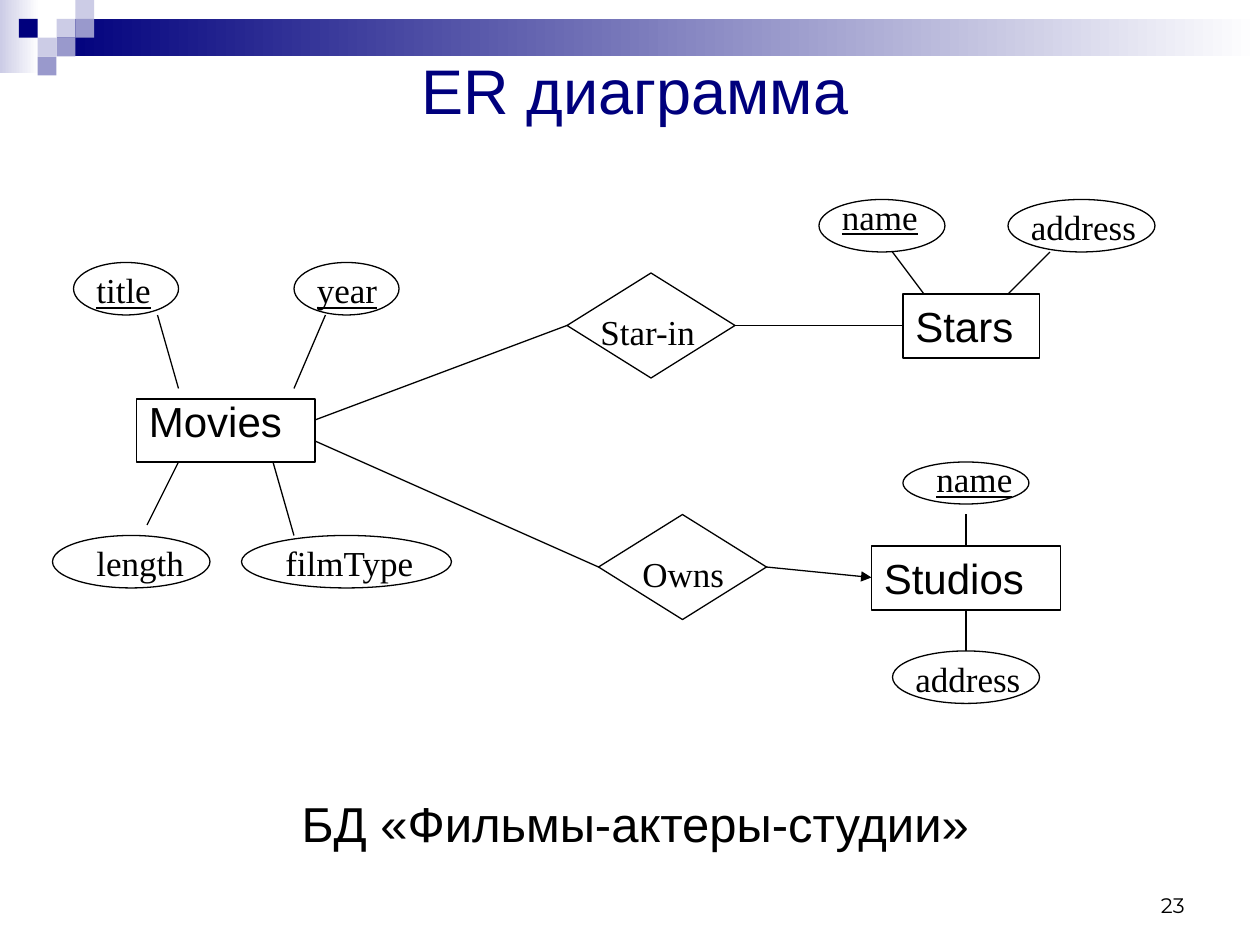
from dataclasses import dataclass

import pptx
import pptx.dml.color
import pptx.enum.dml
import pptx.enum.shapes
import pptx.enum.text
import pptx.oxml
import pptx.oxml.ns
import pptx.util
from pptx.util import Cm

SHAPES = pptx.enum.shapes.MSO_SHAPE
ALIGN = pptx.enum.text.PP_ALIGN
ANCHOR = pptx.enum.text.MSO_ANCHOR


@dataclass(frozen=True)
class Theme:
    navy: str = "00007D"
    violet: str = "9999CC"
    pale: str = "CCCCE6"
    white: str = "FFFFFF"
    black: str = "000000"
    sans: str = "Arial"
    serif: str = "Times New Roman"
    number_font: str = "Montserrat"
    title_size: int = 36
    caption_size: int = 28
    entity_size: int = 24
    label_size: int = 20
    number_size: int = 12
    line_width: float = 0.75


THEME = Theme()

# Diagram places are in grid steps: left, top, width, height.
ENTITIES = [
    ("Movies", (13, 38, 17, 6), 0.8),
    ("Stars", (86, 28, 13, 6.1), 1),
    ("Studios", (83, 52, 18, 6.1), 1),
]
# Name, oval, left and top of the label, whether it is a key.
ATTRIBUTES = [
    ("title", (7, 25, 10, 5), (8, 25), True),
    ("year", (28, 25, 10, 5), (29, 25), True),
    ("length", (5, 51, 15, 5), (8, 51), False),
    ("filmType", (23, 51, 20, 5), (26, 51), False),
    ("name", (86, 44, 12, 4), (88, 43), True),
    ("name", (78, 19, 12, 5), (79, 18), True),
    ("address", (96, 19, 14, 5), (97, 19), False),
    ("address", (85, 62, 14, 5), (86, 62), False),
]
RELATIONS = [
    ("Star-in", (54, 26, 16, 10), (56, 29)),
    ("Owns", (57, 49, 16, 10), (60, 52)),
]
LINKS = [
    (15, 30, 17, 37), (31, 30, 28, 37), (14, 50, 17, 44), (28, 51, 26, 44),
    (30, 42, 57, 54), (30, 40, 54, 31), (70, 31, 86, 31),
    (88, 28, 85, 24), (96, 28, 100, 24), (92, 52, 92, 49), (92, 62, 92, 58),
]
ARROW = (73, 54, 83, 55)


def grid(*steps):
    """Turn steps of a twelfth of an inch into lengths."""
    return [Cm(step * 2.54 / 12) for step in steps]


def rgb(value):
    return pptx.dml.color.RGBColor.from_string(value)


def set_outline(line):
    line.color.rgb = rgb(THEME.black)
    line.width = pptx.util.Pt(THEME.line_width)


def add_text(page, text, place, size, font, color=THEME.black,
             align=ALIGN.LEFT, anchor=ANCHOR.TOP, underline=False):
    box = page.shapes.add_textbox(*grid(*place))
    frame = box.text_frame
    frame.word_wrap = True
    frame.vertical_anchor = anchor
    para = frame.paragraphs[0]
    para.text = text
    para.alignment = align
    para.font.size = pptx.util.Pt(size)
    para.font.name = font
    para.font.color.rgb = rgb(color)
    para.font.underline = underline
    return box


def add_block(page, left, top, width, height, start, end=None):
    """Add a borderless rectangle, fading to the right when end is given."""
    block = page.shapes.add_shape(SHAPES.RECTANGLE, Cm(left), Cm(top), Cm(width), Cm(height))
    block.shadow.inherit = False
    block.line.fill.background()
    if end is None:
        block.fill.solid()
        block.fill.fore_color.rgb = rgb(start)
        return
    block.fill.gradient()
    block.fill.gradient_angle = 0
    for stop, color, position in zip(block.fill.gradient_stops, (start, end), (0, 1)):
        stop.color.rgb = rgb(color)
        stop.position = position


def add_header(page):
    cell = 0.38
    add_block(page, 0, 0, 0.79, 1.47, THEME.pale, THEME.white)
    add_block(page, 3 * cell, cell, 25.4 - 3 * cell, 2 * cell, THEME.navy, THEME.white)
    squares = [
        (3, 1, THEME.pale), (4, 0, THEME.pale), (4, 1, THEME.violet), (2, 2, THEME.pale),
        (1, 1, THEME.navy), (3, 2, THEME.violet), (2, 3, THEME.violet),
    ]
    for column, row, color in squares:
        add_block(page, column * cell, row * cell, cell, cell, color)


def add_outline(page, preset, place):
    shape = page.shapes.add_shape(preset, *grid(*place))
    shape.shadow.inherit = False
    shape.fill.background()
    set_outline(shape.line)


def add_entity(page, name, place, spacing):
    box = add_text(page, name, place, THEME.entity_size, THEME.sans)
    box.text_frame.paragraphs[0].line_spacing = spacing
    set_outline(box.line)


def add_labelled(page, preset, name, place, label_at, key=False):
    """Add an outline with its label; the name of a key is underlined."""
    add_outline(page, preset, place)
    left, top = label_at
    width = place[0] + place[2] - left
    add_text(page, name, (left, top, width, 5.2), THEME.label_size, THEME.serif, underline=key)


def add_link(page, ends, arrow=False):
    link = page.shapes.add_connector(pptx.enum.shapes.MSO_CONNECTOR.STRAIGHT, *grid(*ends))
    set_outline(link.line)
    if arrow:
        tail = pptx.oxml.parse_xml(
            f'<a:tailEnd {pptx.oxml.ns.nsdecls("a")} type="triangle"/>')
        link.line._get_or_add_ln().append(tail)
    link._element.spPr.append(
        pptx.oxml.parse_xml(f'<a:effectLst {pptx.oxml.ns.nsdecls("a")}/>'))


def main():
    deck = pptx.Presentation()
    deck.slide_width, deck.slide_height = Cm(25.4), Cm(19.05)
    page = deck.slides.add_slide(deck.slide_layouts[6])

    add_header(page)
    add_text(page, "ER диаграмма", (23, 4, 75, 9), THEME.title_size, THEME.sans,
             THEME.navy, ALIGN.CENTER, ANCHOR.MIDDLE)
    for name, place, spacing in ENTITIES:
        add_entity(page, name, place, spacing)
    for name, place, label_at, key in ATTRIBUTES:
        add_labelled(page, SHAPES.OVAL, name, place, label_at, key)
    for name, place, label_at in RELATIONS:
        add_labelled(page, SHAPES.DIAMOND, name, place, label_at)
    for ends in LINKS:
        add_link(page, ends)
    add_link(page, ARROW, arrow=True)
    add_text(page, "БД «Фильмы-актеры-студии»", (18, 75, 85, 6.8),
             THEME.caption_size, THEME.sans, align=ALIGN.CENTER)
    add_text(page, "23", (86, 82, 28, 6), THEME.number_size, THEME.number_font,
             align=ALIGN.RIGHT, anchor=ANCHOR.BOTTOM)

    deck.save("out.pptx")


if __name__ == "__main__":
    main()
